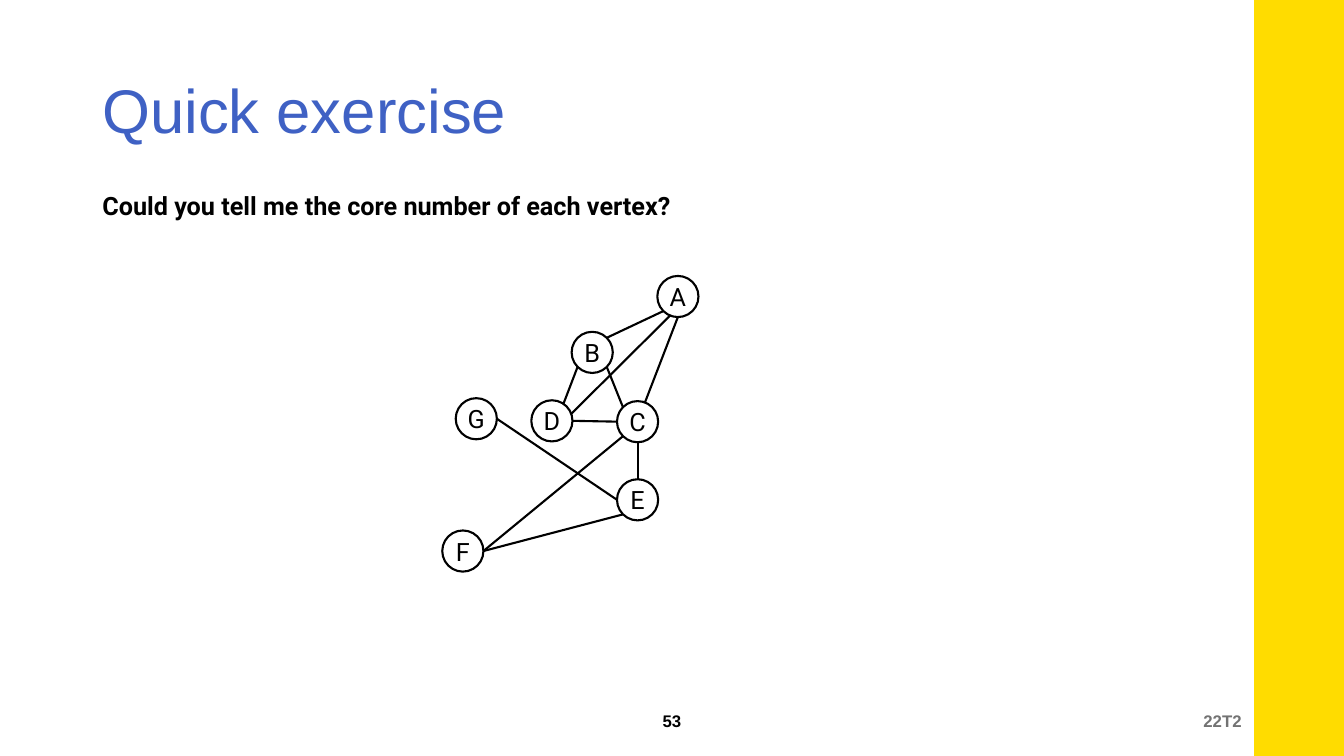
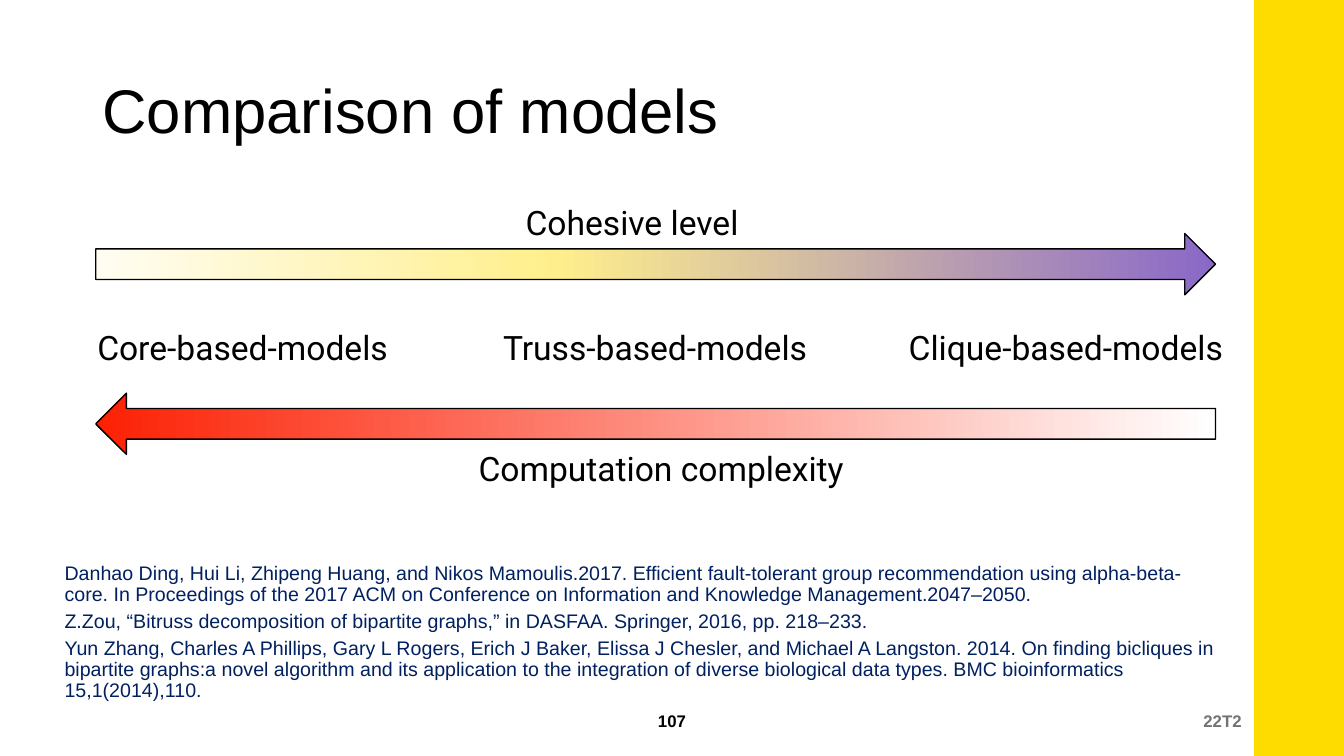
from copy import deepcopy

from lxml.etree import SubElement
from pptx import Presentation
from pptx.dml.color import RGBColor
from pptx.enum.shapes import MSO_CONNECTOR, MSO_SHAPE
from pptx.enum.text import MSO_ANCHOR, PP_ALIGN
from pptx.oxml.ns import qn
from pptx.util import Inches, Pt

# Grid: 160 columns by 90 rows of square cells
SLIDE_WIDTH, SLIDE_HEIGHT = Inches(13.333), Inches(7.5)
COLUMNS, ROWS = 160, 90
BLANK_LAYOUT = 6

BLACK, WHITE, YELLOW = "000000", "FFFFFF", "FFDC00"
BLUE, NAVY, GREY = "3F61C4", "002060", "737373"

# Text styles: font attributes and colour
STYLES = {
    "title": {"name": "Arial", "size": Pt(44)},
    "question": {"name": "Roboto", "size": Pt(18), "bold": True},
    "vertex": {"name": "Roboto", "size": Pt(18)},
    "label": {"name": "Roboto", "size": Pt(24)},
    "reference": {"name": "Arial", "size": Pt(14)},
    "footer": {"name": "Arial", "size": Pt(12), "bold": True},
}

# Graph: vertex centres, and edges with the site each end touches
RADIUS = 2.45
VERTICES = {
    "A": (80.7, 35.3), "B": (70.5, 41.95), "C": (75.9, 50.2), "D": (65.7, 50.1),
    "E": (75.9, 59.5), "F": (55.1, 65.6), "G": (56.7, 49.85),
}
SITES = {
    "centre": (0, 0), "N": (0, -1), "E": (1, 0), "S": (0, 1), "W": (-1, 0),
    "NE": (0.71, -0.71), "SE": (0.71, 0.71), "SW": (-0.71, 0.71), "NW": (-0.71, -0.71),
    "inner N": (0.4, -0.4), "inner E": (0.55, 0.05), "inner S": (0, 0.55),
}
EDGES = [
    ("A", "SW", "B", "NE"), ("A", "inner S", "D", "inner E"), ("A", "S", "C", "centre"),
    ("B", "SW", "D", "inner N"), ("B", "SE", "C", "NW"), ("C", "W", "D", "E"),
    ("C", "SW", "F", "E"), ("C", "S", "E", "N"), ("E", "SW", "F", "E"),
    ("G", "E", "E", "W"),
]

MODELS = ["Core-based-models", "Truss-based-models", "Clique-based-models"]
COHESION = [(0, "FFFDF2"), (41, "FFEF8C"), (100, "8A68C8")]
COMPLEXITY = [(0, WHITE), (100, "FC2105")]
REFERENCES = [
    "Danhao Ding, Hui Li, Zhipeng Huang, and Nikos Mamoulis.2017. Efficient "
    "fault-tolerant group recommendation using alpha-beta-core. In Proceedings of the "
    "2017 ACM on Conference on Information and Knowledge Management.2047–2050.",
    "Z.Zou, “Bitruss decomposition of bipartite graphs,” in DASFAA. Springer, 2016, "
    "pp. 218–233.",
    "Yun Zhang, Charles A Phillips, Gary L Rogers, Erich J Baker, Elissa J Chesler, and "
    "Michael A Langston. 2014. On finding bicliques in bipartite graphs:a novel algorithm "
    "and its application to the integration of diverse biological data types. "
    "BMC bioinformatics 15,1(2014),110.",
]


def color(hex_value):
    return RGBColor.from_string(hex_value)


def cells(*values):
    """Turn alternating column and row counts into lengths."""
    units = (SLIDE_WIDTH / COLUMNS, SLIDE_HEIGHT / ROWS)
    return [round(value * units[index % 2]) for index, value in enumerate(values)]


def set_attributes(target, values):
    for name, value in values.items():
        setattr(target, name, value)


def write(frame, texts, style, text_color=BLACK, **paragraph_format):
    for index, text in enumerate(texts):
        paragraph = frame.paragraphs[0] if index == 0 else frame.add_paragraph()
        paragraph.text = text
        set_attributes(paragraph, paragraph_format)
        if index == 0:
            paragraph.space_before = Pt(0)
        set_attributes(paragraph.font, STYLES[style])
        paragraph.font.color.rgb = color(text_color)


def add_text(slide, box, texts, style, text_color=BLACK, anchor=MSO_ANCHOR.TOP,
             **paragraph_format):
    frame = slide.shapes.add_textbox(*cells(*box)).text_frame
    set_attributes(frame, {"word_wrap": True, "vertical_anchor": anchor})
    write(frame, texts, style, text_color, **paragraph_format)


def add_shape(slide, kind, box, fill=None, line_width=None):
    shape = slide.shapes.add_shape(kind, *cells(*box))
    shape.shadow.inherit = False
    if fill:
        shape.fill.solid()
        shape.fill.fore_color.rgb = color(fill)
    if line_width:
        shape.line.width = Pt(line_width)
        shape.line.color.rgb = color(BLACK)
    else:
        shape.line.fill.background()
    return shape


def add_gradient_arrow(slide, top, stops, rotation=0):
    arrow = add_shape(slide, MSO_SHAPE.RIGHT_ARROW, (11.4, top, 133.3, 7.3), line_width=1)
    arrow.rotation = rotation
    arrow.fill.gradient()
    arrow.fill.gradient_angle = 0
    # Fit the number of stops, then set each one
    stop_list = arrow.element.spPr.find(".//" + qn("a:gsLst"))
    while len(stop_list) < len(stops):
        stop_list.append(deepcopy(stop_list[0]))
    for stop, (percent, hex_value) in zip(arrow.fill.gradient_stops, stops):
        stop.position = percent / 100
        stop.color.rgb = color(hex_value)


def add_edge(slide, start, start_site, end, end_site):
    points = []
    for vertex, site in ((start, start_site), (end, end_site)):
        points += [centre + RADIUS * offset
                   for centre, offset in zip(VERTICES[vertex], SITES[site])]
    edge = slide.shapes.add_connector(MSO_CONNECTOR.STRAIGHT, *cells(*points))
    edge.line.width = Pt(1.5)
    edge.line.color.rgb = color(BLACK)
    SubElement(edge.element.spPr, qn("a:effectLst"))


def add_vertex(slide, name, x, y):
    box = (x - RADIUS, y - RADIUS, 2 * RADIUS, 2 * RADIUS)
    vertex = add_shape(slide, MSO_SHAPE.OVAL, box, WHITE, 1.5)
    margins = dict.fromkeys(
        ("margin_left", "margin_right", "margin_top", "margin_bottom"), 0)
    set_attributes(vertex.text_frame, {
        **margins, "word_wrap": False, "vertical_anchor": MSO_ANCHOR.MIDDLE})
    write(vertex.text_frame, [name], "vertex", alignment=PP_ALIGN.CENTER)


def add_slide(presentation, title, page, title_color=BLACK):
    """Add a slide with the shared band, title and footer."""
    slide = presentation.slides.add_slide(presentation.slide_layouts[BLANK_LAYOUT])
    add_shape(slide, MSO_SHAPE.RECTANGLE, (149.3, 0, 10.7, ROWS), YELLOW)
    middle = MSO_ANCHOR.MIDDLE
    add_text(slide, (11, 4.8, 138, 17.4), [title], "title", title_color, middle,
             line_spacing=0.9)
    add_text(slide, (95, 83.4, 54, 4.8), ["22T2"], "footer", GREY, middle,
             alignment=PP_ALIGN.RIGHT)
    add_text(slide, (62, 83.4, 36, 4.8), [page], "footer", BLACK, middle,
             alignment=PP_ALIGN.CENTER)
    return slide


def build_exercise(presentation):
    slide = add_slide(presentation, "Quick exercise", "53", BLUE)
    add_text(slide, (11, 22.1, 96.5, 4.8),
             ["Could you tell me the core number of each vertex?"], "question")
    # Vertices cover the inner ends of the edges
    for edge in EDGES:
        add_edge(slide, *edge)
    for name, centre in VERTICES.items():
        add_vertex(slide, name, *centre)


def build_comparison(presentation):
    slide = add_slide(presentation, "Comparison of models", "107")
    # Arrows and their captions
    add_gradient_arrow(slide, 27.8, COHESION)
    add_gradient_arrow(slide, 46.8, COMPLEXITY, rotation=180)
    add_text(slide, (61.4, 23.5, 34, 6), ["Cohesive level"], "label")
    add_text(slide, (55.8, 52.7, 55.6, 6), ["Computation complexity"], "label")
    # Models at equal steps
    for index, model in enumerate(MODELS):
        add_text(slide, (10.4 + 48.3 * index, 38.3, 41.4, 6), [model], "label")
    add_text(slide, (6.5, 66.5, 140.2, 17.9), REFERENCES, "reference", NAVY,
             line_spacing=0.9, space_before=Pt(4))


def main():
    presentation = Presentation()
    set_attributes(presentation, {"slide_width": SLIDE_WIDTH, "slide_height": SLIDE_HEIGHT})
    build_exercise(presentation)
    build_comparison(presentation)
    presentation.save("out.pptx")


if __name__ == "__main__":
    main()
